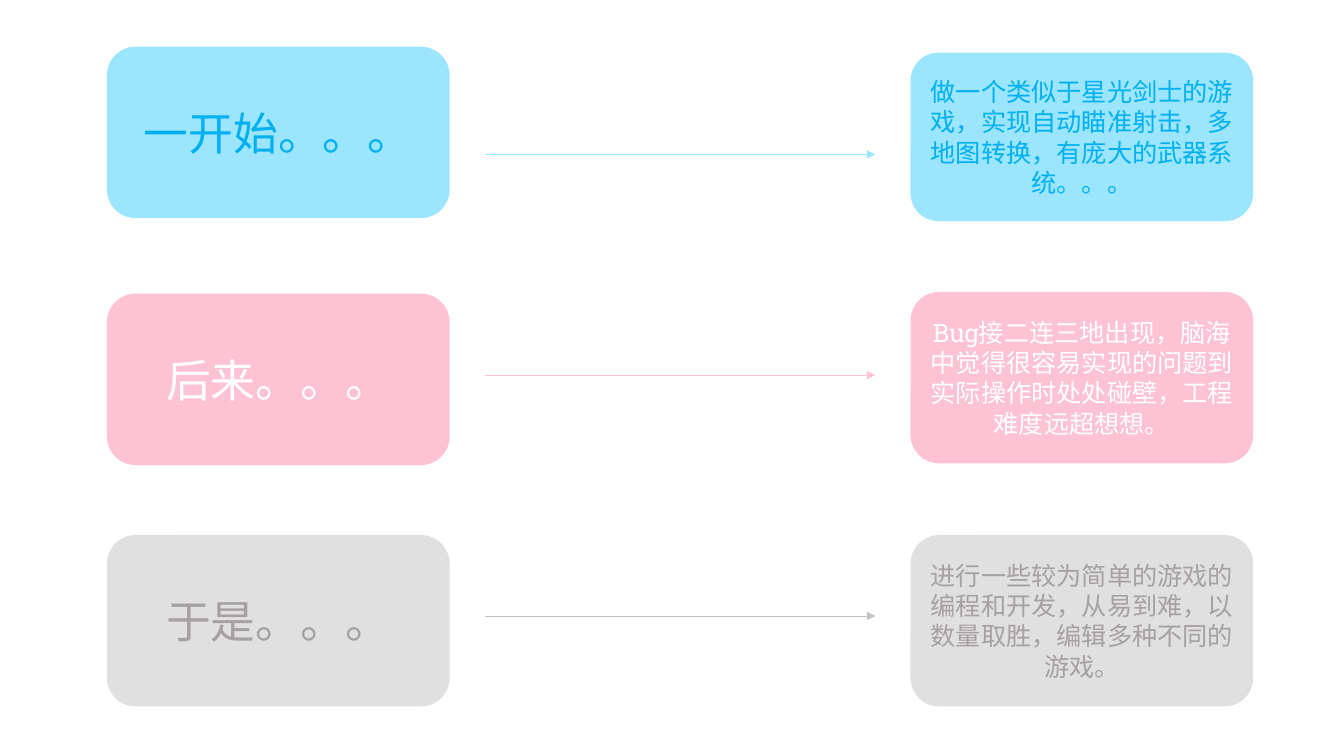
"""Build a slide of three stages, each with an arrow to its story."""
from pptx import Presentation
from pptx import util as u
from pptx.dml.color import RGBColor
from pptx.enum import shapes, text
from pptx.oxml.ns import qn
from lxml import etree

AQUA = RGBColor(0x9B, 0xE5, 0xFF)
BLUE = RGBColor(0x00, 0xB0, 0xF0)
PINK = RGBColor(0xFD, 0xC3, 0xD5)
WHITE = RGBColor(0xFF, 0xFF, 0xFF)
PALE = RGBColor(0xE1, 0xE0, 0xE0)
GREY = RGBColor(0xA6, 0xA1, 0xA1)
ASH = RGBColor(0xC3, 0xC1, 0xC1)

FONT = "Roboto Slab"
WIDE, HIGH = 244.8, 122.4
LEFT, RIGHT = 76.4, 650.4
START, END = 346.4, 625.2

STAGES = [
    dict(title="一开始。。。",
         story="做一个类似于星光剑士的游戏，实现自动瞄准射击，多地图转换，有庞大的武器系统。。。",
         fill=AQUA, ink=BLUE, line=AQUA,
         top=33.4, side=37.6, tall=120.4, mid=110.3),
    dict(title="后来。。。",
         story="Bug接二连三地出现，脑海中觉得很容易实现的问题到实际操作时处处碰壁，工程难度远超想想。",
         fill=PINK, ink=WHITE, line=PINK,
         top=209.8, side=208.6, tall=HIGH, mid=267.9),
    dict(title="于是。。。",
         story="进行一些较为简单的游戏的编程和开发，从易到难，以数量取胜，编辑多种不同的游戏。",
         fill=PALE, ink=GREY, line=ASH,
         top=382.2, side=382.2, tall=HIGH, mid=440),
]


def add_card(slide, left, top, tall, words, size, fill, ink):
    card = slide.shapes.add_shape(
        shapes.MSO_SHAPE.ROUNDED_RECTANGLE,
        u.Pt(left), u.Pt(top), u.Pt(WIDE), u.Pt(tall))
    card.shadow.inherit = False
    card.fill.solid()
    card.fill.fore_color.rgb = fill
    card.line.fill.background()
    frame = card.text_frame
    frame.word_wrap = True
    frame.vertical_anchor = text.MSO_ANCHOR.MIDDLE
    para = frame.paragraphs[0]
    para.text = words
    para.alignment = text.PP_ALIGN.CENTER
    para.font.name = FONT
    para.font.size = u.Pt(size)
    para.font.color.rgb = ink


def add_arrow(slide, mid, hue):
    arrow = slide.shapes.add_connector(
        shapes.MSO_CONNECTOR.STRAIGHT,
        u.Pt(START), u.Pt(mid), u.Pt(END), u.Pt(mid))
    arrow.line.color.rgb = hue
    arrow.line.width = u.Pt(0.5)
    etree.SubElement(arrow.line._get_or_add_ln(), qn("a:tailEnd"),
                     type="triangle")
    etree.SubElement(arrow._element.spPr, qn("a:effectLst"))


def main():
    deck = Presentation()
    deck.slide_width, deck.slide_height = u.Pt(960), u.Pt(540)
    slide = deck.slides.add_slide(deck.slide_layouts[6])
    for stage in STAGES:
        fill, ink = stage["fill"], stage["ink"]
        add_card(slide, LEFT, stage["top"], HIGH, stage["title"], 32, fill, ink)
        add_arrow(slide, stage["mid"], stage["line"])
        add_card(slide, RIGHT, stage["side"], stage["tall"], stage["story"],
                 18, fill, ink)
    deck.save("out.pptx")


if __name__ == "__main__":
    main()
